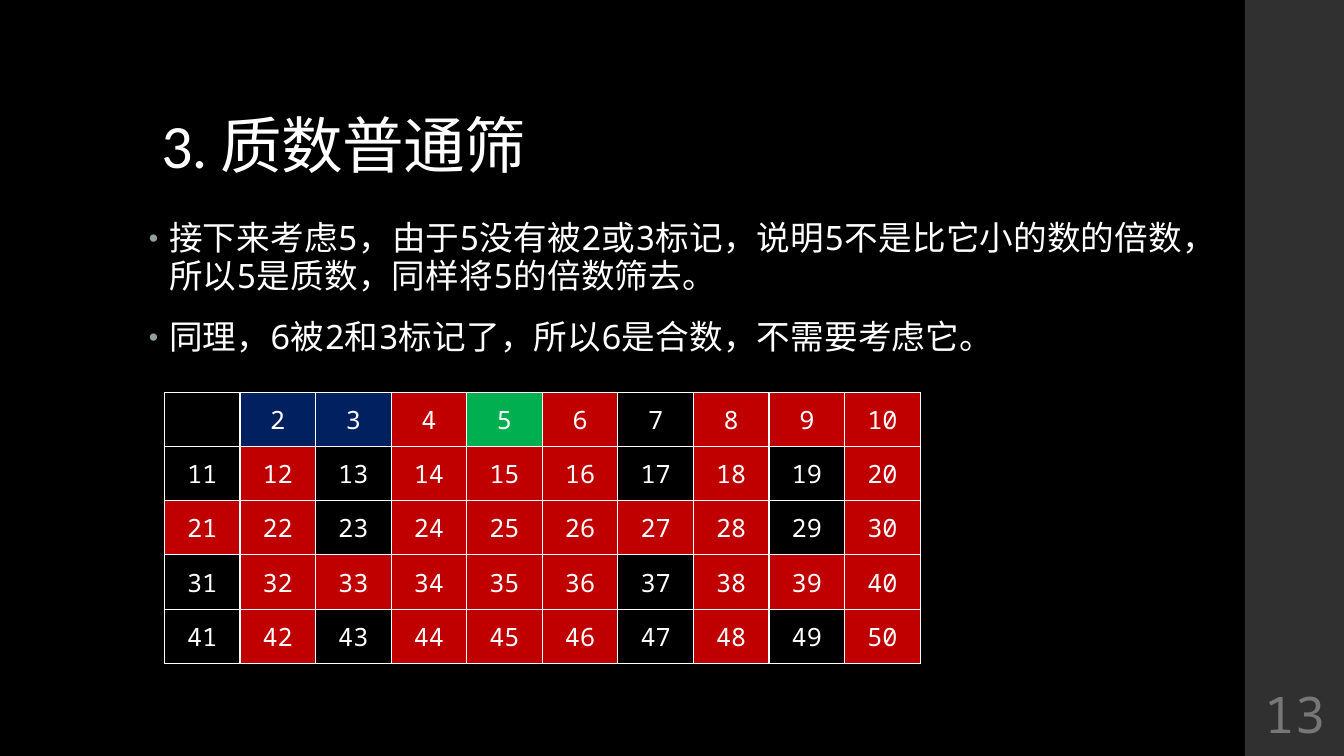
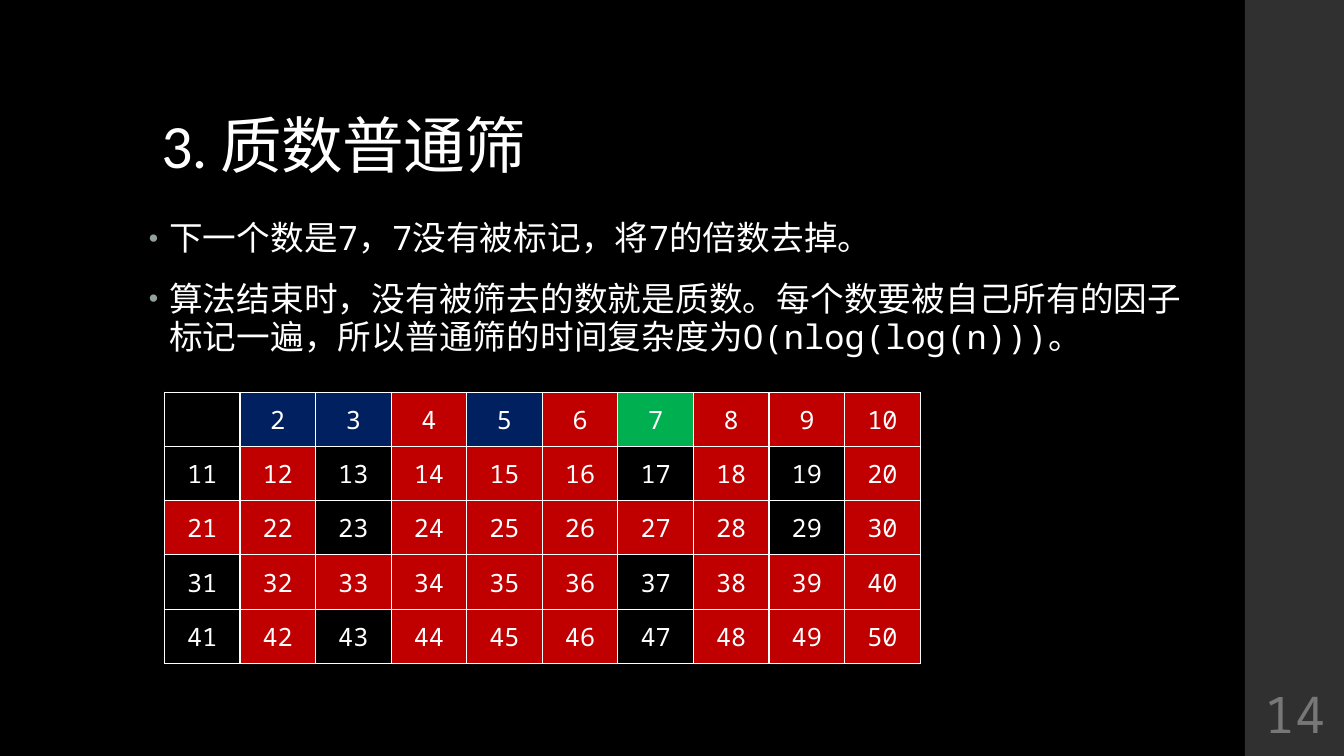
import pptx
import pptx.util
import pptx.dml.color
import pptx.enum.shapes
import pptx.enum.text
import pptx.oxml.ns
import lxml.etree

Pt = pptx.util.Pt
WIDE, HIGH = pptx.util.Inches(13.33), pptx.util.Inches(7.5)
HUES = {"back": "000000", "band": "303030", "text": "FFFFFF", "page": "777777",
        "dot": "93A299", "prime": "002060", "now": "00B050", "out": "C00000"}
MONO, SANS = "Noto Sans Mono", "Calibri"
TITLE = "3. 质数普通筛"
# Left, top, width and height in percent of the slide.
AREAS = {"band": (92.62, 0, 7.38, 100), "title": (11.25, 5.33, 77.64, 19.33),
         "body": (10.35, 28.4, 79.52, 63.47), "grid": (12.23, 51.87, 56.25, 35.9),
         "page": (92.62, 90, 7.5, 8.67)}
ROWS, COLS = 5, 10
SLIDES = [
    (13, 5, [
        "接下来考虑5，由于5没有被2或3标记，说明5不是比它小的数的倍数，所以5是质数，同样将5的倍数筛去。",
        "同理，6被2和3标记了，所以6是合数，不需要考虑它。"]),
    (14, 7, [
        "下一个数是7，7没有被标记，将7的倍数去掉。",
        "算法结束时，没有被筛去的数就是质数。每个数要被自己所有的因子标记一遍，"
        "所以普通筛的时间复杂度为O(nlog(log(n)))。"]),
]


def area(name):
    """Return the named area as left, top, width, height."""
    return [round(part * side / 100)
            for part, side in zip(AREAS[name], (WIDE, HIGH, WIDE, HIGH))]


def color(name):
    """Return a named colour."""
    return pptx.dml.color.RGBColor.from_string(HUES[name])


def paint(fill, name):
    """Make a fill solid in a named colour."""
    fill.solid()
    fill.fore_color.rgb = color(name)


def node(parent, tag, **attrs):
    """Append a drawing element and return it."""
    return lxml.etree.SubElement(parent, pptx.oxml.ns.qn("a:" + tag), attrs)


def write(para, text, size, face=MONO, hue="text", track=0):
    """Add one styled run; track is letter spacing in points."""
    run = para.add_run()
    run.text = text
    run.font.size, run.font.name = Pt(size), face
    run.font.color.rgb = color(hue)
    if track:
        run.font._element.set("spc", str(round(track * 100)))


def band(slide):
    """Draw the side band."""
    shape = slide.shapes.add_shape(
        pptx.enum.shapes.MSO_SHAPE.RECTANGLE, *area("band"))
    shape.shadow.inherit = False
    paint(shape.fill, "band")
    shape.line.fill.background()


def title(slide):
    """Place and fill the title."""
    shape = slide.shapes.title
    shape.left, shape.top, shape.width, shape.height = area("title")
    frame = shape.text_frame
    frame.word_wrap = True
    frame.vertical_anchor = pptx.enum.text.MSO_ANCHOR.BOTTOM
    para = frame.paragraphs[0]
    para.alignment = pptx.enum.text.PP_ALIGN.LEFT
    para.line_spacing = 0.9
    write(para, TITLE, 44, SANS, track=-0.5)


def bullet(para):
    """Give a paragraph its spacing, hanging indent and dot."""
    para.line_spacing = 0.95
    para.space_before, para.space_after = Pt(14), Pt(2)
    props = para._p.get_or_add_pPr()
    hang = pptx.util.Inches(0.2)
    props.set("marL", str(hang))
    props.set("indent", str(-hang))
    node(node(props, "buClr"), "srgbClr", val=HUES["dot"])
    node(props, "buSzPct", val="80000")
    node(props, "buFont", typeface="Arial")
    node(props, "buChar", char="•")


def body(slide, lines):
    """Add the bulleted text."""
    frame = slide.shapes.add_textbox(*area("body")).text_frame
    frame.word_wrap = True
    for i, line in enumerate(lines):
        para = frame.add_paragraph() if i else frame.paragraphs[0]
        bullet(para)
        write(para, line, 24, track=0.1)


def state(num, now):
    """Name the colour of a number once multiples of now are struck."""
    if num == now:
        return "now"
    for prime in (2, 3, 5, 7):
        if prime <= now and num % prime == 0:
            return "prime" if num == prime else "out"
    return "back"


def border(cell):
    """Draw thin lines on all sides of a cell."""
    props = cell._tc.get_or_add_tcPr()
    for side in ("lnL", "lnR", "lnT", "lnB"):
        line = node(props, side, w=str(Pt(1)))
        node(node(line, "solidFill"), "srgbClr", val=HUES["text"])


def sieve(slide, now):
    """Add the table of numbers, coloured for the current step."""
    table = slide.shapes.add_table(ROWS, COLS, *area("grid")).table
    table.first_row = table.horz_banding = False
    for num, cell in enumerate(table.iter_cells(), 1):
        border(cell)
        paint(cell.fill, state(num, now))
        cell.margin_left = cell.margin_right = cell.margin_top = Pt(0.72)
        cell.margin_bottom = 0
        cell.vertical_anchor = pptx.enum.text.MSO_ANCHOR.MIDDLE
        para = cell.text_frame.paragraphs[0]
        para.alignment = pptx.enum.text.PP_ALIGN.CENTER
        if num > 1:
            write(para, str(num), 18)


def page(slide, num):
    """Add the page number on the band."""
    frame = slide.shapes.add_textbox(*area("page")).text_frame
    frame.word_wrap = True
    frame.margin_left = frame.margin_right = Pt(3.6)
    frame.vertical_anchor = pptx.enum.text.MSO_ANCHOR.MIDDLE
    para = frame.paragraphs[0]
    para.alignment = pptx.enum.text.PP_ALIGN.CENTER
    write(para, str(num), 36, hue="page")


def main():
    """Build and save the slides."""
    deck = pptx.Presentation()
    deck.slide_width, deck.slide_height = WIDE, HIGH
    paint(deck.slide_master.background.fill, "back")
    for num, now, lines in SLIDES:
        slide = deck.slides.add_slide(deck.slide_layouts[5])
        band(slide)
        title(slide)
        body(slide, lines)
        sieve(slide, now)
        page(slide, num)
    deck.save("out.pptx")


main()
